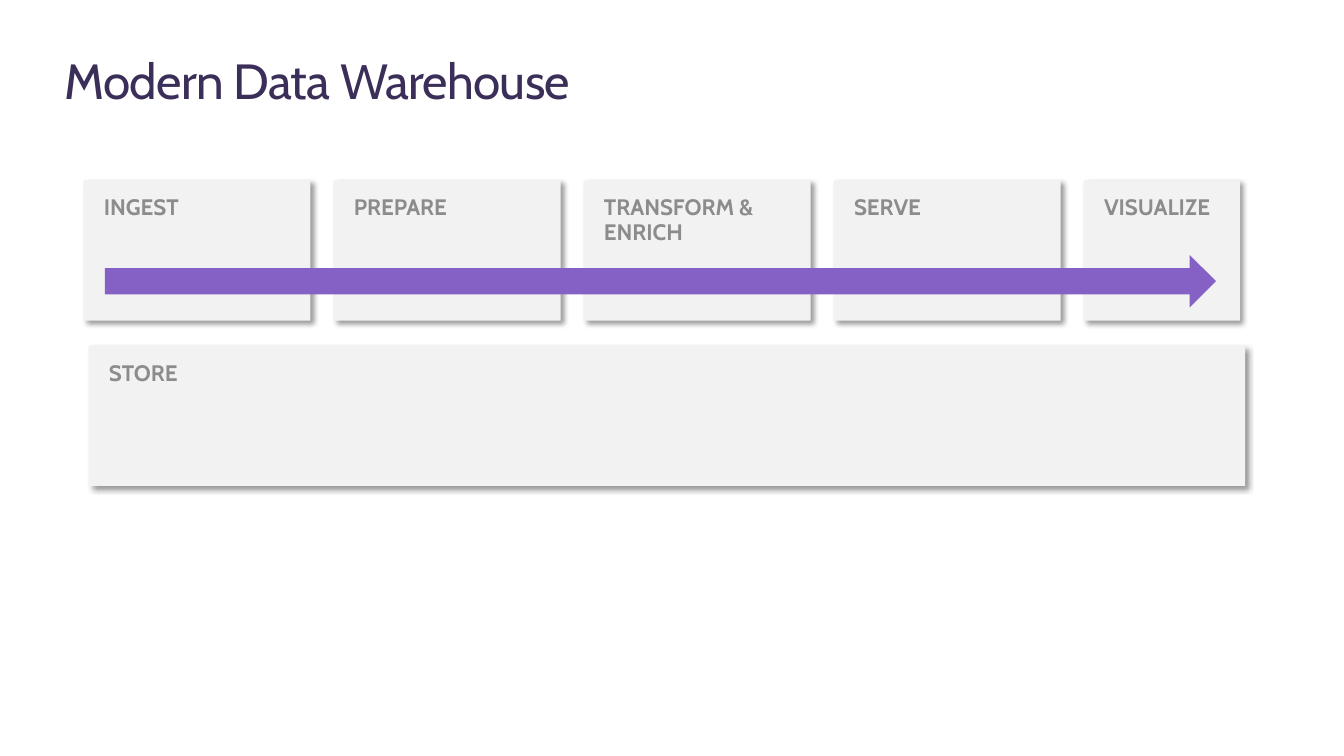
import dataclasses

import pptx
import pptx.dml.color
import pptx.enum.shapes
import pptx.enum.text
import pptx.oxml
import pptx.oxml.ns
import pptx.slide
import pptx.util

EMU_PER_PX = 9144


@dataclasses.dataclass(frozen=True)
class Theme:
    font: str = "Cabin"
    title_color: str = "3B2E58"
    label_color: str = "8C8C8C"
    panel_fill: str = "F2F2F2"
    flow_fill: str = "8661C5"
    shadow_color: str = "000000"
    title_size: float = 35.3
    label_size: float = 16


@dataclasses.dataclass(frozen=True)
class Box:
    left: int
    top: int
    width: int
    height: int

    def emu(self) -> tuple[int, int, int, int]:
        return px(self.left), px(self.top), px(self.width), px(self.height)


@dataclasses.dataclass(frozen=True)
class Panel:
    label: str
    box: Box


THEME = Theme()
STAGE_LEFT, STAGE_TOP, STAGE_STEP, PANEL_HEIGHT = 83, 179, 248, 139
STAGES = [
    ("INGEST", 225),
    ("PREPARE", 225),
    ("TRANSFORM & ENRICH", 225),
    ("SERVE", 225),
    ("VISUALIZE", 155),
]
PANELS = [Panel("STORE", Box(88, 343, 1147, PANEL_HEIGHT))] + [
    Panel(label, Box(STAGE_LEFT + index * STAGE_STEP, STAGE_TOP, width, PANEL_HEIGHT))
    for index, (label, width) in enumerate(STAGES)
]


def px(length: int) -> int:
    return pptx.util.Emu(length * EMU_PER_PX)


def rgb(value: str) -> pptx.dml.color.RGBColor:
    return pptx.dml.color.RGBColor.from_string(value)


def set_text(frame, text: str, size: float, color: str, bold: bool, inset_x: int, inset_y: int):
    frame.word_wrap = True
    frame.vertical_anchor = pptx.enum.text.MSO_ANCHOR.TOP
    frame.margin_left = frame.margin_right = px(inset_x)
    frame.margin_top = frame.margin_bottom = px(inset_y)
    paragraph = frame.paragraphs[0]
    paragraph.text = text
    paragraph.alignment = pptx.enum.text.PP_ALIGN.LEFT
    paragraph.font.name = THEME.font
    paragraph.font.size = pptx.util.Pt(size)
    paragraph.font.bold = bold
    paragraph.font.color.rgb = rgb(color)
    return paragraph


def add_block(slide: pptx.slide.Slide, preset, box: Box, fill: str):
    block = slide.shapes.add_shape(preset, *box.emu())
    block.fill.solid()
    block.fill.fore_color.rgb = rgb(fill)
    block.line.fill.background()
    block.shadow.inherit = False
    return block


def add_panel(slide: pptx.slide.Slide, panel: Panel) -> None:
    block = add_block(
        slide, pptx.enum.shapes.MSO_SHAPE.RECTANGLE, panel.box, THEME.panel_fill
    )
    effects = block._element.spPr.find(pptx.oxml.ns.qn("a:effectLst"))
    effects.append(pptx.oxml.parse_xml(
        f'<a:outerShdw {pptx.oxml.ns.nsdecls("a")} blurRad="50800" dist="38100" '
        'dir="2700000" algn="tl" rotWithShape="0">'
        f'<a:srgbClr val="{THEME.shadow_color}"><a:alpha val="40000"/></a:srgbClr>'
        "</a:outerShdw>"
    ))
    label = set_text(
        block.text_frame, panel.label, THEME.label_size, THEME.label_color, True, 20, 16
    )
    label.line_spacing = 0.9


def add_title(slide: pptx.slide.Slide, text: str, box: Box) -> None:
    frame = slide.shapes.add_textbox(*box.emu()).text_frame
    title = set_text(frame, text, THEME.title_size, THEME.title_color, False, 0, 0)
    frame.auto_size = pptx.enum.text.MSO_AUTO_SIZE.SHAPE_TO_FIT_TEXT
    title.runs[0].font._element.set("spc", "-50")


def main() -> None:
    deck = pptx.Presentation()
    deck.slide_width, deck.slide_height = px(1333), px(750)
    slide = deck.slides.add_slide(deck.slide_layouts[6])
    for panel in PANELS:
        add_panel(slide, panel)
    add_title(slide, "Modern Data Warehouse", Box(64, 50, 1205, 59))
    add_block(
        slide,
        pptx.enum.shapes.MSO_SHAPE.RIGHT_ARROW,
        Box(104, 253, 1102, 52),
        THEME.flow_fill,
    )
    deck.save("out.pptx")


if __name__ == "__main__":
    main()
